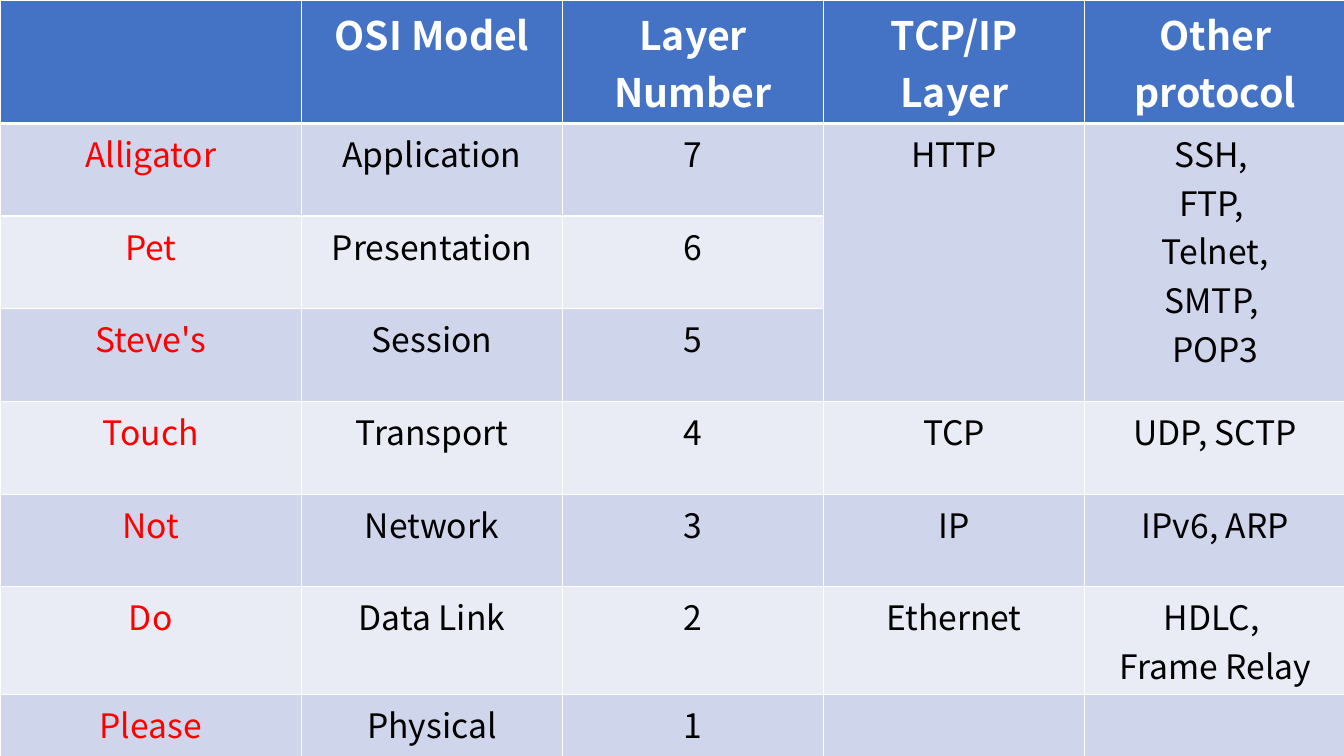
import pptx
import pptx.util
import pptx.dml.color
import pptx.enum.text
import pptx.oxml
import pptx.oxml.ns

Inches = pptx.util.Inches
FONT = "Noto Sans CJK KR"
WHITE, BLACK, RED, BLUE = "FFFFFF", "000000", "FF0000", "4472C4"
BANDS = ("CFD5EA", "E9EBF5")

WIDTHS = [2.99] + [2.59] * 4
HEIGHTS = [1.04] + [0.92] * 7
ROWS = [
    ("", "OSI Model", "Layer Number", "TCP/IP Layer", "Other protocol"),
    ("Alligator", "Application", "7", "HTTP",
     "SSH, \nFTP, \nTelnet,\nSMTP, \nPOP3"),
    ("Pet", "Presentation", "6", "", ""),
    ("Steve's", "Session", "5", "", ""),
    ("Touch", "Transport", "4", "TCP", "UDP, SCTP"),
    ("Not", "Network", "3", "IP", "IPv6, ARP"),
    ("Do", "Data Link", "2", "Ethernet", "HDLC, \nFrame Relay"),
    ("Please", "Physical", "1", "", ""),
]


def color(code):
    return pptx.dml.color.RGBColor.from_string(code)


def write(frame, text, size=24, ink=BLACK, bold=False):
    """Fill a text frame, one centred paragraph per line."""
    frame.text = text
    for para in frame.paragraphs:
        para.alignment = pptx.enum.text.PP_ALIGN.CENTER
        for run in para.runs:
            font = run.font
            font.name, font.size, font.bold = FONT, pptx.util.Pt(size), bold
            font.color.rgb = color(ink)


def border(cell, **widths):
    """Draw white cell edges, with widths in points."""
    props = cell._tc.get_or_add_tcPr()
    for spot, side in enumerate("LRTB"):
        width = pptx.util.Pt(widths.get(side, 1))
        line = pptx.oxml.parse_xml(
            f'<a:ln{side} {pptx.oxml.ns.nsdecls("a")} w="{width}">'
            f'<a:solidFill><a:srgbClr val="{WHITE}"/></a:solidFill>'
            f'</a:ln{side}>')
        props.insert(spot, line)


def style(cell, row, col, text):
    """Format one cell by its place in the grid."""
    cell.fill.solid()
    if row == 0:
        cell.fill.fore_color.rgb = color(BLUE)
        border(cell, B=3)
    else:
        cell.fill.fore_color.rgb = color(BANDS[(row - 1) % 2])
        border(cell, T=3 if row == 1 else 1)
    if not text:
        return
    if row == 0:
        write(cell.text_frame, text, size=28, ink=WHITE, bold=True)
    else:
        write(cell.text_frame, text, ink=BLACK if col else RED)


def grid(slide):
    """Add the table of network layers."""
    table = slide.shapes.add_table(
        len(ROWS), len(WIDTHS), 0, 0,
        Inches(sum(WIDTHS)), Inches(sum(HEIGHTS))).table
    for col, width in zip(table.columns, WIDTHS):
        col.width = Inches(width)
    for row, height in zip(table.rows, HEIGHTS):
        row.height = Inches(height)
    for row, texts in enumerate(ROWS):
        for col, text in enumerate(texts):
            style(table.cell(row, col), row, col, text)
    # The top three layers share their protocols
    for col in (3, 4):
        table.cell(1, col).merge(table.cell(3, col))


def main():
    deck = pptx.Presentation()
    deck.slide_width, deck.slide_height = Inches(13.33), Inches(7.5)
    grid(deck.slides.add_slide(deck.slide_layouts[6]))
    deck.save("out.pptx")


if __name__ == "__main__":
    main()
